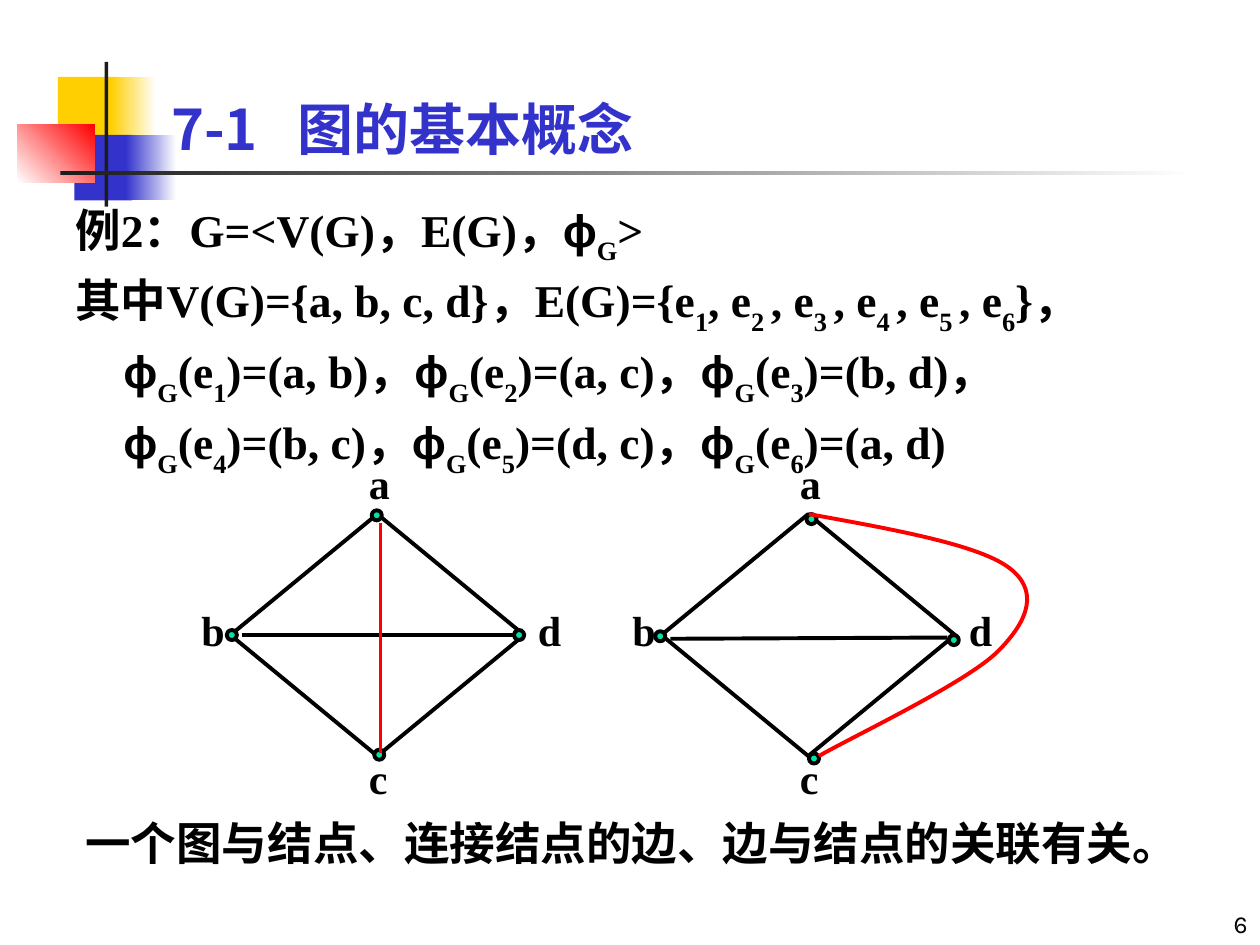
"""Build the slide on basic graph concepts: one graph, drawn two ways."""
from dataclasses import dataclass

import pptx
import pptx.dml.color
import pptx.enum.shapes
import pptx.enum.text
import pptx.oxml.ns
import pptx.util
from lxml import etree

PX = 9144
SHAPE = pptx.enum.shapes.MSO_SHAPE
ALIGN = pptx.enum.text.PP_ALIGN
ANCHOR = pptx.enum.text.MSO_ANCHOR
qn = pptx.oxml.ns.qn


@dataclass(frozen=True)
class Theme:
    yellow: str = "FFCF01"
    blue: str = "3333CC"
    red: str = "FF0000"
    dark: str = "1C1C1C"
    white: str = "FFFFFF"
    black: str = "000000"
    node: str = "00E4A8"
    serif: str = "Times New Roman"
    sans: str = "Karla"
    greek: str = "Arial"
    cjk: str = "Noto Sans CJK SC"
    title: int = 32
    body: int = 26
    label: int = 24
    number: int = 14
    stroke: float = 2.25


T = Theme()


@dataclass(frozen=True)
class Block:
    box: tuple[int, int, int, int]
    start: str
    end: str = ""
    angle: int = 0


@dataclass(frozen=True)
class Style:
    size: int
    font: str
    color: str = T.black
    bold: bool = True


@dataclass(frozen=True)
class Graph:
    dx: int
    dots: tuple[tuple[int, int], ...]
    chord: tuple[tuple[int, int], ...]
    red_edge: tuple[tuple[int, int], ...]


BLOCKS = (
    Block((46, 61, 48, 52), T.yellow),
    Block((88, 61, 36, 52), T.yellow, T.white),
    Block((59, 107, 46, 52), T.blue),
    Block((100, 107, 40, 52), T.blue, T.white),
    Block((14, 99, 61, 46), T.white, T.red, 45),
    Block((83, 49, 3, 115), T.dark),
    Block((48, 136, 900, 3), T.dark, T.white),
)
LABELS = {"a": (283, 358), "b": (150, 475), "c": (283, 592), "d": (417, 475)}
GRAPHS = (
    Graph(0, ((295, 405), (180, 500), (297, 595), (408, 500)),
          ((192, 504), (408, 504)), ((302, 415), (302, 598))),
    Graph(342, ((640, 408), (520, 501), (642, 598), (753, 504)),
          ((532, 507), (752, 506)),
          ((642, 408), (708, 420), (775, 432), (800, 450), (825, 468),
           (817, 492), (792, 517), (767, 542), (674, 586), (650, 600))),
)
MAPPING = "，".join(
    f"ϕ_G_(e_{i}_)=({u}, {v})"
    for i, (u, v) in enumerate(("ab", "ac", "bd", "bc", "dc", "ad"), 1)
)
BODY = (
    "例2：G=<V(G)，E(G)，ϕ_G_>",
    "其中V(G)={a, b, c, d}，E(G)={e_1_, e_2 _, e_3 _, e_4 _, e_5 _, e_6_}，" + MAPPING,
)


def rgb(color: str) -> pptx.dml.color.RGBColor:
    return pptx.dml.color.RGBColor.from_string(color)


def emu(values: tuple[int, ...]) -> list[int]:
    return [v * PX for v in values]


def add_run(p, text: str, style: Style, subscript: bool = False) -> None:
    r = p.add_run()
    r.text = text
    r.font.size = pptx.util.Pt(style.size)
    r.font.bold = style.bold
    r.font.color.rgb = rgb(style.color)
    r.font.name = style.font
    rPr = r._r.get_or_add_rPr()
    etree.SubElement(rPr, qn("a:ea"), typeface=T.cjk)
    if subscript:
        rPr.set("baseline", "-30000")


def add_math(p, text: str, style: Style) -> None:
    greek = Style(style.size, T.greek)
    for i, part in enumerate(text.split("_")):
        for piece in filter(None, part.partition("ϕ")):
            add_run(p, piece, greek if piece == "ϕ" else style, i % 2 == 1)


def add_box(shapes, box: tuple[int, ...], anchor=ANCHOR.TOP):
    tf = shapes.add_textbox(*emu(box)).text_frame
    tf.word_wrap = True
    tf.vertical_anchor = anchor
    return tf


def add_block(shapes, block: Block) -> None:
    sp = shapes.add_shape(SHAPE.RECTANGLE, *emu(block.box))
    sp.shadow.inherit = False
    sp.line.fill.background()
    if not block.end:
        sp.fill.solid()
        sp.fill.fore_color.rgb = rgb(block.start)
        return
    sp.fill.gradient()
    sp.fill.gradient_angle = block.angle
    for stop, color in zip(sp.fill.gradient_stops, (block.start, block.end)):
        stop.color.rgb = rgb(color)


def set_line(sp, color: str) -> None:
    sp.line.color.rgb = rgb(color)
    sp.line.width = pptx.util.Pt(T.stroke)


def add_outlined(shapes, kind, box: tuple[int, ...], fill: str) -> None:
    sp = shapes.add_shape(kind, *emu(box))
    sp.shadow.inherit = False
    sp.fill.solid()
    sp.fill.fore_color.rgb = rgb(fill)
    set_line(sp, T.black)


def add_edge(shapes, points: tuple[tuple[int, int], ...], color: str) -> None:
    if len(points) == 2:
        kind = pptx.enum.shapes.MSO_CONNECTOR.STRAIGHT
        sp = shapes.add_connector(kind, *emu(points[0] + points[1]))
        set_line(sp, color)
        etree.SubElement(sp._element.spPr, qn("a:effectLst"))
        return
    builder = shapes.build_freeform(*points[0], scale=PX)
    builder.add_line_segments(points[1:], close=False)
    sp = builder.convert_to_shape()
    sp.shadow.inherit = False
    sp.fill.background()
    set_line(sp, color)
    segments = list(sp._element.iter(qn("a:lnTo")))
    for i in range(0, len(segments), 3):
        curve = etree.Element(qn("a:cubicBezTo"))
        segments[i].addprevious(curve)
        for segment in segments[i:i + 3]:
            curve.append(segment[0])
            segment.getparent().remove(segment)


def add_graph(s, graph: Graph) -> None:
    shapes = s.shapes.add_group_shape().shapes
    add_outlined(shapes, SHAPE.DIAMOND, (183 + graph.dx, 408, 233, 192), T.white)
    for dot in graph.dots:
        add_outlined(shapes, SHAPE.OVAL, dot + (8, 8), T.node)
    add_edge(shapes, graph.chord, T.black)
    add_edge(shapes, graph.red_edge, T.red)
    for name, (x, y) in LABELS.items():
        tf = add_box(shapes, (x + graph.dx, y, 42, 50))
        add_run(tf.paragraphs[0], name, Style(T.label, T.serif))


def main() -> None:
    prs = pptx.Presentation()
    prs.slide_width, prs.slide_height = emu((1000, 750))
    s = prs.slides.add_slide(prs.slide_layouts[6])
    for block in BLOCKS:
        add_block(s.shapes, block)

    p = add_box(s.shapes, (792, 700, 208, 50), ANCHOR.BOTTOM).paragraphs[0]
    p.alignment = ALIGN.RIGHT
    add_run(p, "6", Style(T.number, T.sans, bold=False))

    p = add_box(s.shapes, (126, 8, 852, 125), ANCHOR.BOTTOM).paragraphs[0]
    tabs = etree.SubElement(p._p.get_or_add_pPr(), qn("a:tabLst"))
    etree.SubElement(tabs, qn("a:tab"), pos=str(100 * PX), algn="l")
    add_run(p, "7-1\t图的基本概念", Style(T.title, T.cjk, T.blue))

    tf = add_box(s.shapes, (50, 150, 858, 242))
    for i, text in enumerate(BODY):
        p = tf.add_paragraph() if i else tf.paragraphs[0]
        p.line_spacing = 1.1
        pPr = p._p.get_or_add_pPr()
        pPr.set("marL", str(38 * PX))
        pPr.set("indent", str(-38 * PX))
        add_math(p, text, Style(T.body, T.serif))

    for graph in GRAPHS:
        add_graph(s, graph)

    p = add_box(s.shapes, (58, 642, 875, 54)).paragraphs[0]
    add_run(p, "一个图与结点、连接结点的边、边与结点的关联有关。", Style(T.body, T.sans))
    prs.save("out.pptx")


if __name__ == "__main__":
    main()
